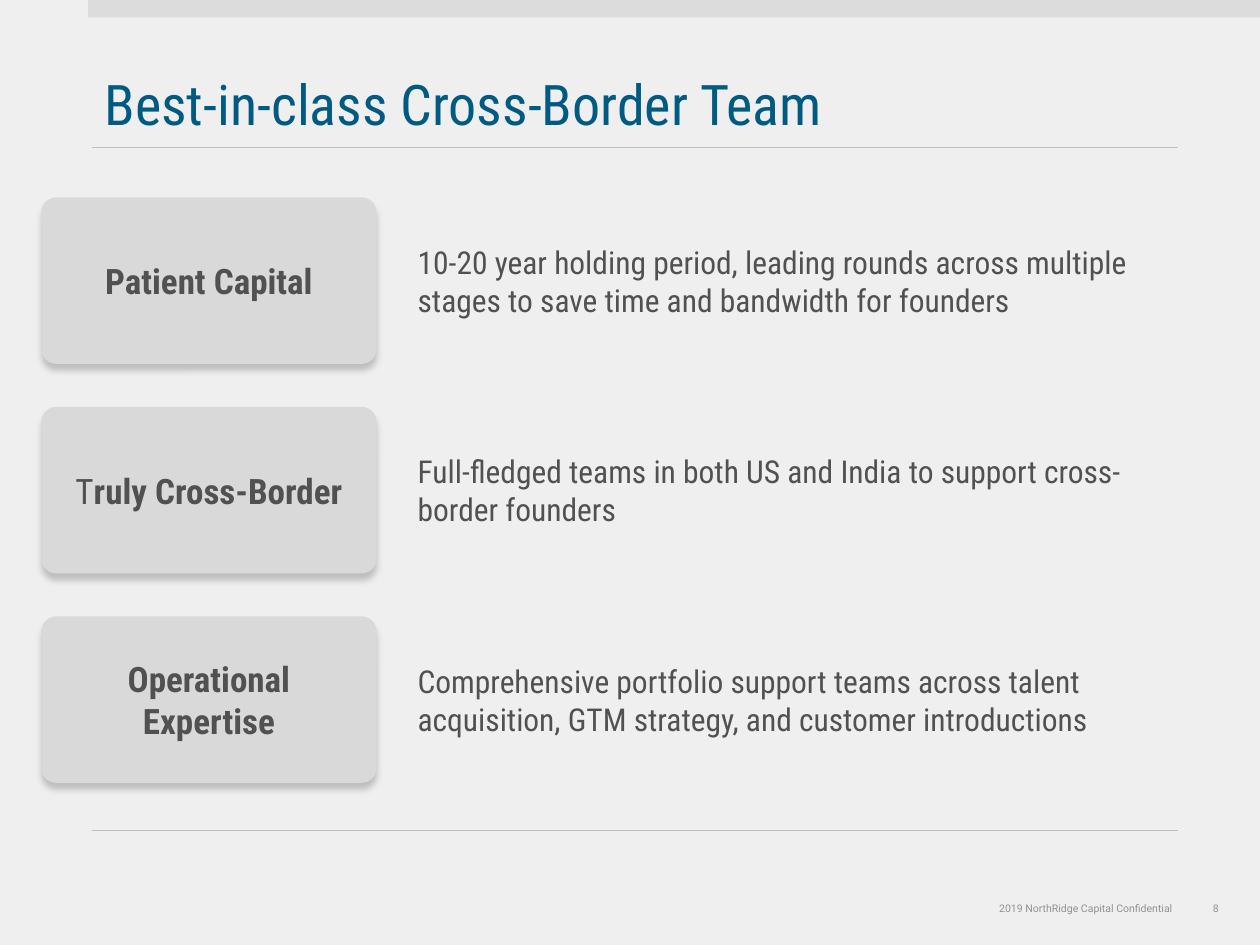
from collections import namedtuple
from dataclasses import dataclass

from lxml.etree import SubElement
from pptx import Presentation
from pptx.dml.color import RGBColor
from pptx.enum.shapes import MSO_CONNECTOR, MSO_SHAPE
from pptx.enum.text import MSO_ANCHOR, MSO_AUTO_SIZE, PP_ALIGN
from pptx.oxml.ns import qn
from pptx.util import Pt

Box = namedtuple("Box", "left top width height")


@dataclass(frozen=True)
class Theme:
    background: str = "EFEFEF"
    band: str = "DCDCDC"
    card: str = "D9D9D9"
    rule: str = "BFBFBF"
    title: str = "005A82"
    text: str = "515151"
    footer: str = "919191"
    font: str = "Roboto Condensed"
    footer_font: str = "Roboto"
    title_size: float = 32
    card_size: float = 20
    body_size: float = 18
    footer_size: float = 6


THEME = Theme()

# Each card label is a list of (text, bold) runs
ROWS = [
    ([("Patient Capital", True)],
     "10-20 year holding period, leading rounds across multiple stages "
     "to save time and bandwidth for founders"),
    ([("T", False), ("ruly Cross-Border", True)],
     "Full-fledged teams in both US and India to support cross-border founders"),
    ([("Operational Expertise", True)],
     "Comprehensive portfolio support teams across talent acquisition, "
     "GTM strategy, and customer introductions"),
]


def points(box):
    return [Pt(value) for value in box]


def set_font(font, name, size, color):
    font.name = name
    font.size = Pt(size)
    font.color.rgb = RGBColor.from_string(color)


def add_filled_shape(slide, kind, box, color):
    shape = slide.shapes.add_shape(kind, *points(box))
    shape.shadow.inherit = False
    shape.fill.solid()
    shape.fill.fore_color.rgb = RGBColor.from_string(color)
    shape.line.fill.background()
    return shape


def add_rule(slide, left, top, width):
    rule = slide.shapes.add_connector(
        MSO_CONNECTOR.STRAIGHT, Pt(left), Pt(top), Pt(left + width), Pt(top))
    rule.line.color.rgb = RGBColor.from_string(THEME.rule)
    rule.line.width = Pt(0.5)
    SubElement(rule._element.spPr, qn("a:effectLst"))


def add_drop_shadow(shape):
    effects = shape._element.spPr.find(qn("a:effectLst"))
    shadow = SubElement(effects, qn("a:outerShdw"), blurRad=str(Pt(4)),
                        dist=str(Pt(4)), dir="5400000", rotWithShape="0")
    SubElement(shadow, qn("a:srgbClr"), val=THEME.rule)


def add_frame(slide, box):
    """Top band and the rules above and below the content box."""
    add_filled_shape(slide, MSO_SHAPE.RECTANGLE, Box(50.4, 0, 669.6, 10), THEME.band)
    for top in (box.top, box.top + box.height):
        add_rule(slide, box.left, top, box.width)


def add_title(slide, box, text):
    title = slide.shapes.title
    title.left, title.top, title.width, title.height = points(box)
    frame = title.text_frame
    frame.text = text
    frame.auto_size = MSO_AUTO_SIZE.NONE
    frame.vertical_anchor = MSO_ANCHOR.BOTTOM
    paragraph = frame.paragraphs[0]
    paragraph.alignment = PP_ALIGN.LEFT
    paragraph.line_spacing = 0.9
    set_font(paragraph.font, THEME.font, THEME.title_size, THEME.title)


def add_card(slide, box, label):
    card = add_filled_shape(slide, MSO_SHAPE.ROUNDED_RECTANGLE, box, THEME.card)
    card.adjustments[0] = 0.09
    add_drop_shadow(card)
    frame = card.text_frame
    frame.word_wrap = True
    frame.vertical_anchor = MSO_ANCHOR.MIDDLE
    paragraph = frame.paragraphs[0]
    paragraph.alignment = PP_ALIGN.CENTER
    set_font(paragraph.font, THEME.font, THEME.card_size, THEME.text)
    for text, bold in label:
        run = paragraph.add_run()
        run.text = text
        run.font.bold = bold


def add_description(slide, box, text):
    frame = slide.shapes.add_textbox(*points(box)).text_frame
    frame.word_wrap = True
    frame.vertical_anchor = MSO_ANCHOR.MIDDLE
    paragraph = frame.paragraphs[0]
    paragraph.text = text
    set_font(paragraph.font, THEME.font, THEME.body_size, THEME.text)


def add_rows(slide, box, rows):
    """Equal rows: a card on the left, its description centred beside it."""
    card_width, card_height, text_height = 191.6, 95.2, 51
    text_offset = 208
    pitch = (box.height - card_height) / (len(rows) - 1)
    for index, (label, description) in enumerate(rows):
        top = box.top + index * pitch
        add_card(slide, Box(box.left, top, card_width, card_height), label)
        add_description(
            slide,
            Box(box.left + text_offset, top + (card_height - text_height) / 2,
                box.width - text_offset, text_height),
            description)


def add_footer_text(slide, box, text, alignment):
    frame = slide.shapes.add_textbox(*points(box)).text_frame
    frame.margin_left = frame.margin_right = 0
    frame.margin_top = frame.margin_bottom = 0
    frame.word_wrap = False
    paragraph = frame.paragraphs[0]
    paragraph.text = text
    paragraph.alignment = alignment
    set_font(paragraph.font, THEME.footer_font, THEME.footer_size, THEME.footer)


def add_footer(slide, box):
    number_width = 7.2
    add_footer_text(slide, Box(box.left, box.top, 100.8, box.height),
                    "2019 NorthRidge Capital Confidential", PP_ALIGN.LEFT)
    add_footer_text(slide, Box(box.left + box.width - number_width, box.top,
                               number_width, box.height),
                    "8", PP_ALIGN.CENTER)


def main():
    presentation = Presentation()
    presentation.slide_width, presentation.slide_height = Pt(720), Pt(540)
    slide = presentation.slides.add_slide(presentation.slide_layouts[5])
    slide.background.fill.solid()
    slide.background.fill.fore_color.rgb = RGBColor.from_string(THEME.background)

    add_frame(slide, Box(52.6, 84, 620.8, 390.5))
    add_title(slide, Box(52.6, 42.5, 620.8, 39.6), "Best-in-class Cross-Border Team")
    add_rows(slide, Box(23.6, 112.8, 644.6, 334.6), ROWS)
    add_footer(slide, Box(571, 515.5, 127.4, 7.2))
    presentation.save("out.pptx")


if __name__ == "__main__":
    main()
